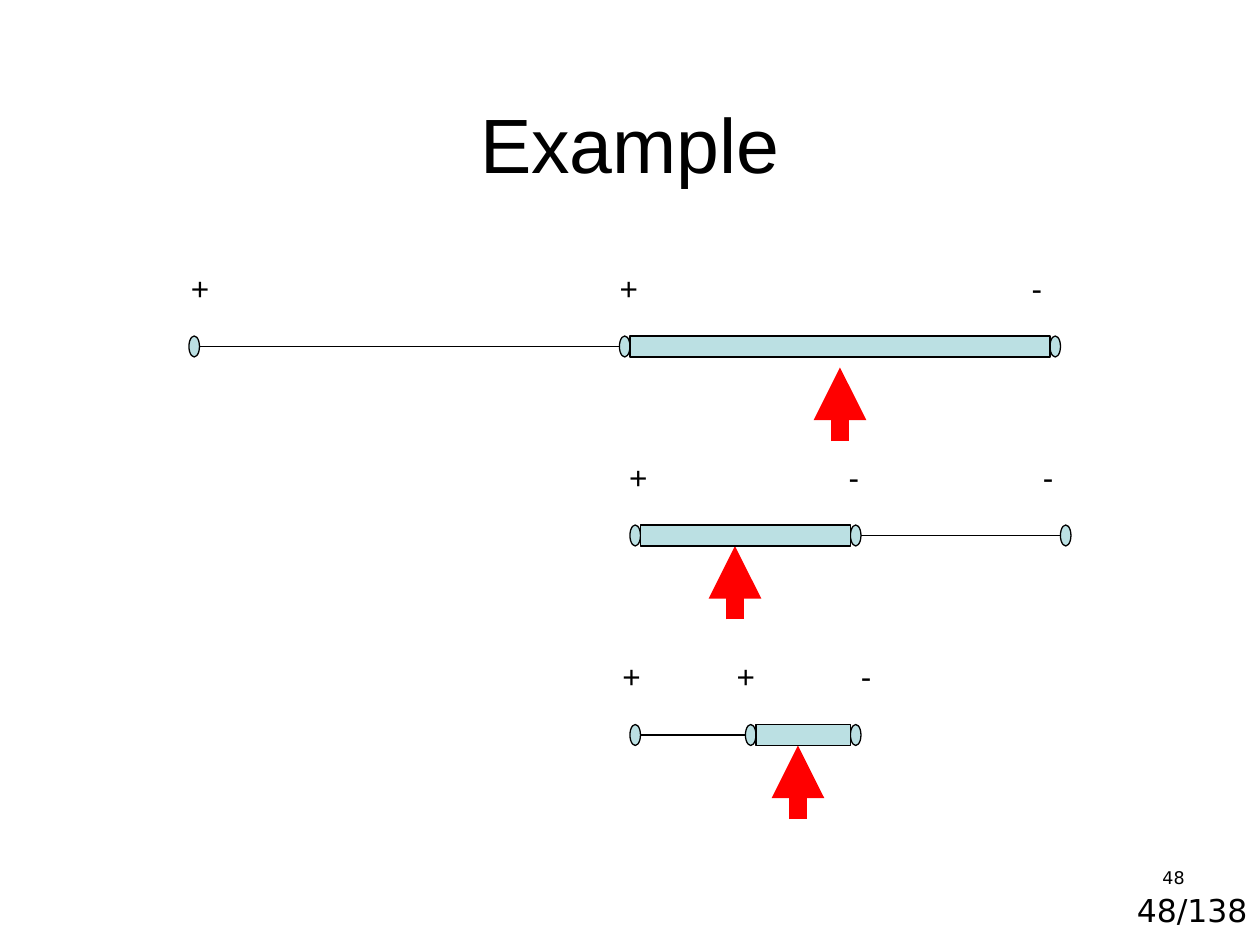
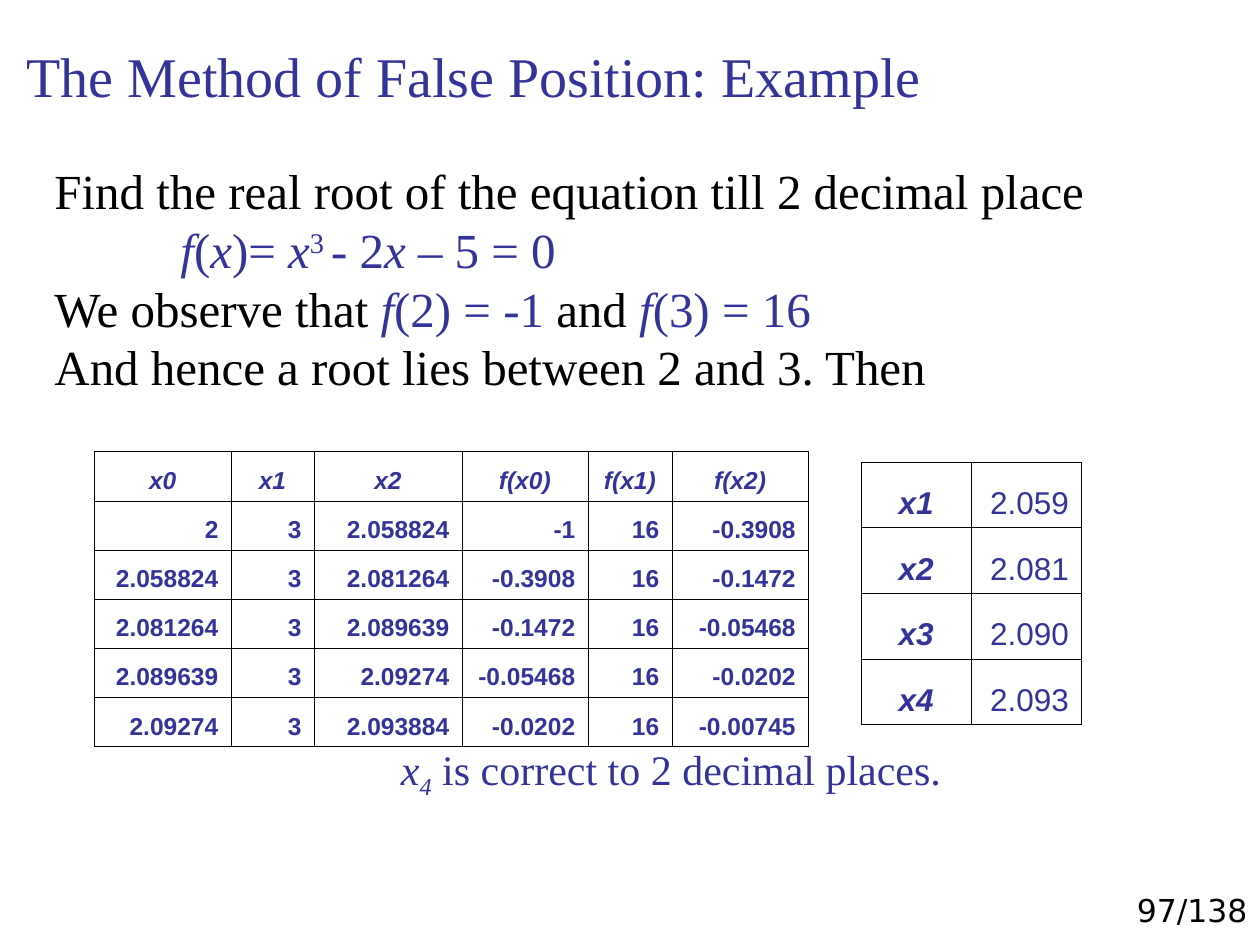
from lxml import etree
from pptx import Presentation
from pptx.dml.color import RGBColor
from pptx.enum.shapes import MSO_CONNECTOR, MSO_SHAPE
from pptx.enum.text import MSO_ANCHOR, PP_ALIGN
from pptx.oxml.ns import qn
from pptx.util import Pt

COLORS = {"black": "000000", "indigo": "333399", "aqua": "BBE0E3", "red": "FF0000"}
RGB = {name: RGBColor.from_string(value) for name, value in COLORS.items()}

presentation = Presentation()
presentation.slide_width, presentation.slide_height = Pt(720), Pt(540)


def add_text(slide, box, text, size, font, color="black", align=PP_ALIGN.LEFT,
             anchor=MSO_ANCHOR.TOP, tabs=()):
    """Add a one-paragraph text box, with optional centred tab stops."""
    shape = slide.shapes.add_textbox(*[Pt(length) for length in box])
    frame = shape.text_frame
    frame.word_wrap = True
    frame.vertical_anchor = anchor
    paragraph = frame.paragraphs[0]
    paragraph.text = text
    paragraph.alignment = align
    if tabs:
        tab_list = etree.SubElement(paragraph._p.get_or_add_pPr(), qn("a:tabLst"))
        for position in tabs:
            etree.SubElement(tab_list, qn("a:tab"), pos=str(Pt(position)), algn="ctr")
    paragraph.font.size, paragraph.font.name = Pt(size), font
    paragraph.font.color.rgb = RGB[color]
    return frame


def add_grid(slide, left, top, widths, row_height, rows, size, is_label, is_bold):
    """Add a plain ruled table whose label cells are bold italic and centred."""
    table_shape = slide.shapes.add_table(len(rows), len(widths), Pt(left), Pt(top),
                                         Pt(sum(widths)), Pt(row_height * len(rows)))
    table = table_shape.table
    table.first_row = table.horz_banding = False
    for column, width in zip(table.columns, widths):
        column.width = Pt(width)
    for r, values in enumerate(rows):
        table.rows[r].height = Pt(row_height)
        for c, value in enumerate(values):
            cell = table.cell(r, c)
            label = is_label(r, c)
            cell.vertical_anchor = MSO_ANCHOR.BOTTOM
            properties = cell._tc.get_or_add_tcPr()
            for side in ("a:lnL", "a:lnR", "a:lnT", "a:lnB"):
                border = etree.SubElement(properties, qn(side), w=str(Pt(0.23)))
                fill = etree.SubElement(border, qn("a:solidFill"))
                etree.SubElement(fill, qn("a:srgbClr"), val=COLORS["black"])
            cell.fill.background()
            paragraph = cell.text_frame.paragraphs[0]
            paragraph.text = value
            paragraph.alignment = PP_ALIGN.CENTER if label else PP_ALIGN.RIGHT
            paragraph.line_spacing = 0.93
            paragraph.font.size, paragraph.font.name = Pt(size), "Arial"
            paragraph.font.bold, paragraph.font.italic = label or is_bold, label
            paragraph.font.color.rgb = RGB["indigo"]


# Slides with their shared page footer
slides = []
for page in (48, 97):
    slide = presentation.slides.add_slide(presentation.slide_layouts[6])
    add_text(slide, (606, 505.5, 114, 34), f"{page}/138", 18, "DejaVu Sans",
             align=PP_ALIGN.RIGHT)
    slides.append(slide)
bisection_slide, false_position_slide = slides

# Slide 1: title and page number
add_text(bisection_slide, (516, 492, 168, 36), "48", 10, "DejaVu Sans", align=PP_ALIGN.RIGHT)
add_text(bisection_slide, (36, 21.5, 648, 90), "Example", 44, "Arial",
         align=PP_ALIGN.CENTER, anchor=MSO_ANCHOR.BOTTOM)

# Intervals: middle height, line ends, end points, kept half, signs and their centres, arrow
intervals = [
    (198, (108, 606), (108, 354, 600), (360, 600), "++-", (114.3, 359.4, 592.6), (480, 210)),
    (306, (360, 612), (360, 486, 606), (366, 486), "+--", (364.9, 488, 599), (420, 312)),
    (420, (366, 492), (360, 426, 486), (432, 486), "++-", (361, 426.3, 495), (456, 426)),
]
SIGNS_LEFT, INSET, BAR_HEIGHT, ARROW_LENGTH = 102, 7.2, 12, 42

for middle, ends, points, kept, signs, centres, (arrow_x, tip) in intervals:
    add_text(bisection_slide, (SIGNS_LEFT, middle - 48, 510, 29),
             "".join("\t" + sign for sign in signs), 18, "Arial",
             tabs=[centre - SIGNS_LEFT - INSET for centre in centres])

    # Interval line and arrow pointing at the next midpoint
    for start, end, color, width in (
            ((ends[0], middle), (ends[1], middle), "black", 0.75),
            ((arrow_x, tip + ARROW_LENGTH), (arrow_x, tip), "red", 10)):
        line = bisection_slide.shapes.add_connector(
            MSO_CONNECTOR.STRAIGHT, *[Pt(value) for value in start + end])
        line.line.color.rgb = RGB[color]
        line.line.width = Pt(width)
        etree.SubElement(line._element.spPr, qn("a:effectLst"))
        if color == "red":
            etree.SubElement(line.line._get_or_add_ln(), qn("a:tailEnd"), type="triangle")

    # End points and the half that keeps the sign change
    marks = [(MSO_SHAPE.OVAL, x, 6) for x in points]
    marks.append((MSO_SHAPE.RECTANGLE, kept[0], kept[1] - kept[0]))
    for kind, left, width in marks:
        mark = bisection_slide.shapes.add_shape(
            kind, Pt(left), Pt(middle - BAR_HEIGHT / 2), Pt(width), Pt(BAR_HEIGHT))
        mark.shadow.inherit = False
        mark.fill.solid()
        mark.fill.fore_color.rgb = RGB["aqua"]
        mark.line.color.rgb = RGB["black"]
        mark.line.width = Pt(0.75)

# Slide 2: problem text; each run is text, colour, italic, baseline
body = add_text(false_position_slide, (24, 88.5, 666, 376.5),
                "Find the real root of the equation till 2 decimal place",
                28, "Times New Roman")
body.paragraphs[0].line_spacing = Pt(33.5)
statements = [
    (28, 72, 0, [("f", "indigo", True, 0), ("(", "indigo", False, 0),
                 ("x", "indigo", True, 0), (")= ", "indigo", False, 0),
                 ("x", "indigo", True, 0), ("3 ", "indigo", False, 30),
                 ("- 2", "indigo", False, 0), ("x ", "indigo", True, 0),
                 ("– 5 = 0", "indigo", False, 0)]),
    (28, 0, 0, [("We observe that ", "black", False, 0), ("f", "indigo", True, 0),
                ("(2) = -1", "indigo", False, 0), (" and ", "black", False, 0),
                ("f", "indigo", True, 0), ("(3) = 16", "indigo", False, 0)]),
    (28, 0, 0, [("And hence a root lies between 2 and 3. Then", "black", False, 0)]),
    (24, 198, 198, [("x", "indigo", True, 0), ("4", "indigo", True, -25),
                    (" is correct to 2 decimal places.", "indigo", False, 0)]),
]
for size, indent, space_before, runs in statements:
    paragraph = body.add_paragraph()
    paragraph._p.get_or_add_pPr().set("marL", str(Pt(indent)))
    paragraph.line_spacing = Pt(33.5)
    paragraph.space_before = Pt(space_before)
    paragraph.font.size, paragraph.font.name = Pt(size), "Times New Roman"
    for text, color, italic, baseline in runs:
        run = paragraph.add_run()
        run.text = text
        run.font.italic = italic
        run.font.color.rgb = RGB[color]
        if baseline:
            run.font._element.set("baseline", str(baseline * 1000))

add_text(false_position_slide, (8, 24, 622, 41.5), "The Method of False Position: Example",
         32, "Times New Roman", "indigo", anchor=MSO_ANCHOR.BOTTOM)

# Iterations and rounded roots
iterations = [
    ("x0", "x1", "x2", "f(x0)", "f(x1)", "f(x2)"),
    ("2", "3", "2.058824", "-1", "16", "-0.3908"),
    ("2.058824", "3", "2.081264", "-0.3908", "16", "-0.1472"),
    ("2.081264", "3", "2.089639", "-0.1472", "16", "-0.05468"),
    ("2.089639", "3", "2.09274", "-0.05468", "16", "-0.0202"),
    ("2.09274", "3", "2.093884", "-0.0202", "16", "-0.00745"),
]
add_grid(false_position_slide, 54, 258, (78, 47.5, 84.5, 72, 48, 78), 28.1, iterations, 14,
         is_label=lambda r, c: r == 0, is_bold=True)
roots = [("x1", "2.059"), ("x2", "2.081"), ("x3", "2.090"), ("x4", "2.093")]
add_grid(false_position_slide, 492, 264, (63, 63), 37.5, roots, 18,
         is_label=lambda r, c: c == 0, is_bold=False)

presentation.save("out.pptx")
